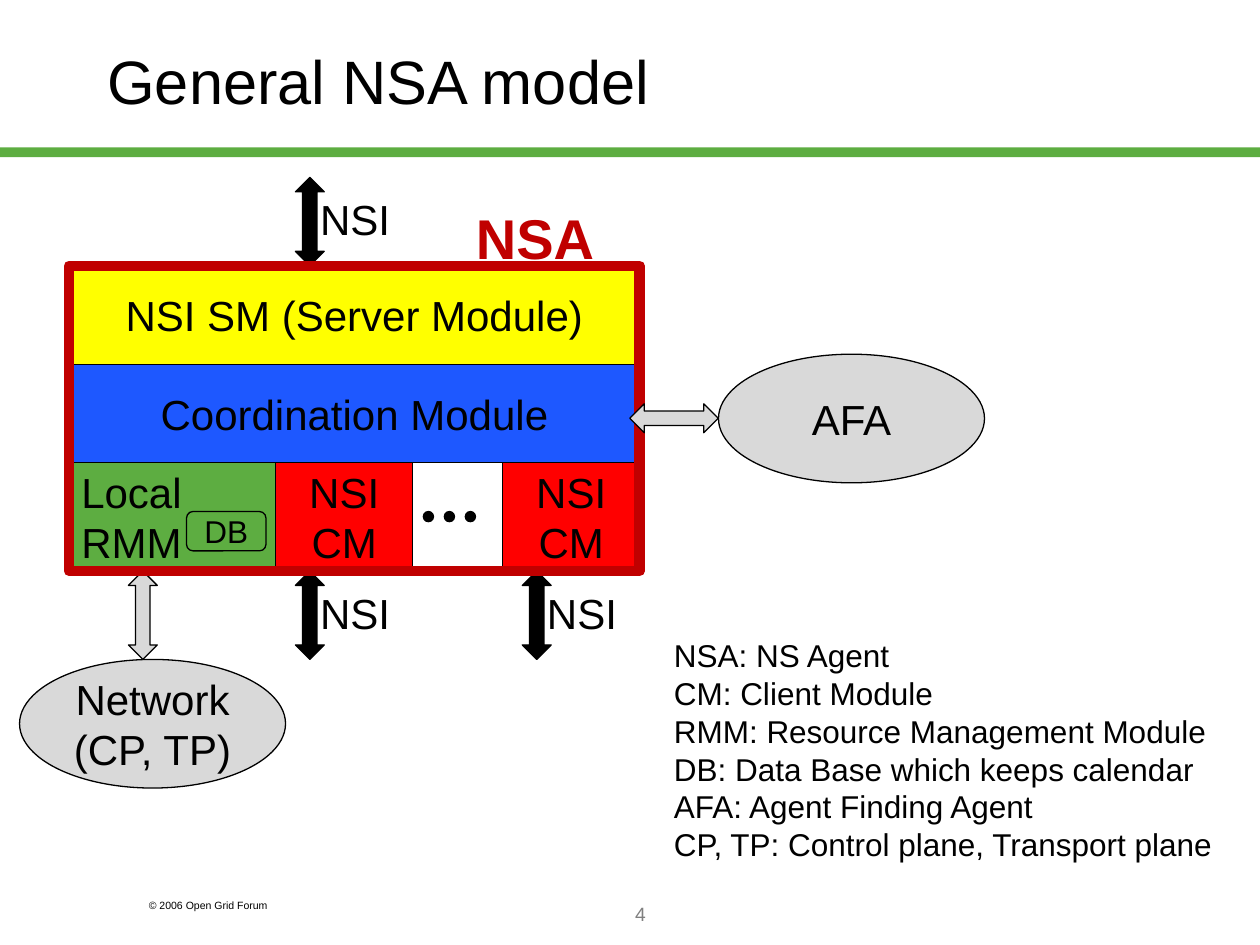
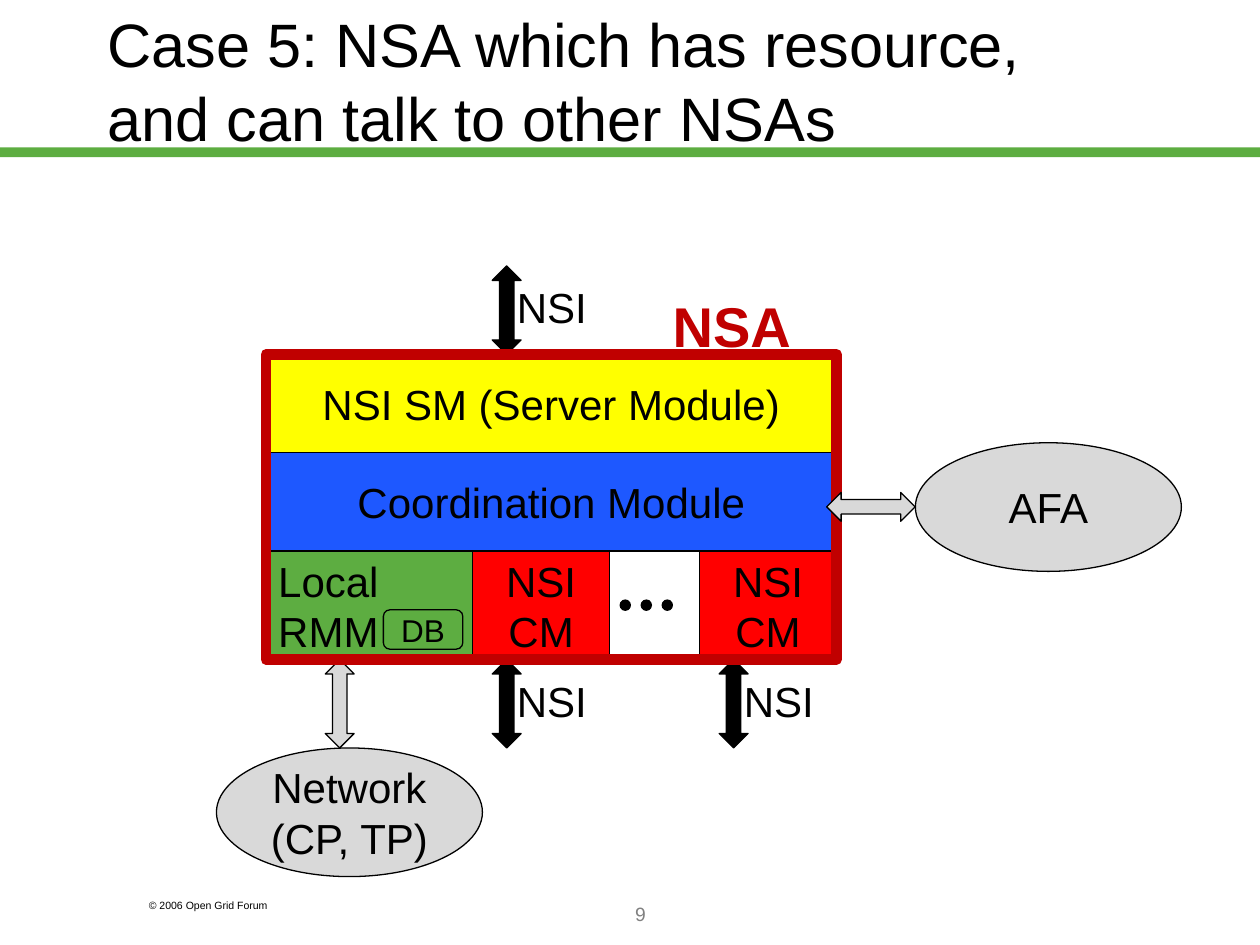
"""Build two slides that show the modules of a network service agent (NSA)."""
from dataclasses import dataclass

import pptx
import pptx.dml.color
import pptx.enum.shapes
import pptx.enum.text
import pptx.util

Pt = pptx.util.Pt
KIND = pptx.enum.shapes.MSO_SHAPE
ALIGN = pptx.enum.text.PP_ALIGN
ANCHOR = pptx.enum.text.MSO_ANCHOR

FONT = "Arial"
COLORS = {
    "ink": "000000",
    "page_number": "808080",
    "green": "5DAD41",
    "client": "FF0000",
    "coordination": "1E58FF",
    "server": "FFFF00",
    "external": "D9D9D9",
    "agent": "C00000",
}
LEGEND = (
    "NSA: NS Agent\n"
    "CM: Client Module\n"
    "RMM: Resource Management Module\n"
    "DB: Data Base which keeps calendar\n"
    "AFA: Agent Finding Agent\n"
    "CP, TP: Control plane, Transport plane"
)

AGENT_W, AGENT_H = 326.2, 174.4
LAYER_H = 56.25
CLIENT_TOP = 2 * LAYER_H
CLIENT_W, CLIENT_H = 78.4, AGENT_H - CLIENT_TOP
RESOURCE_W = 118.1
CLIENT_XS = (RESOURCE_W, AGENT_W - CLIENT_W)
ARROW_W, ARROW_H = 16.5, 50.5
CLOUD_W, CLOUD_H = 152, 73.5
DOT_SIZE, DOT_PITCH = 5.8, 12


@dataclass(frozen=True)
class Box:
    x: float
    y: float
    w: float
    h: float

    def moved(self, dx: float, dy: float) -> "Box":
        return Box(self.x + dx, self.y + dy, self.w, self.h)

    def lengths(self) -> tuple:
        return Pt(self.x), Pt(self.y), Pt(self.w), Pt(self.h)


@dataclass(frozen=True)
class Part:
    kind: int
    box: Box
    fill: str | None
    text: str = ""
    size: float = 24
    align: int = ALIGN.CENTER
    line: str | None = "ink"
    line_width: float = 0.75
    rotation: float = 0


@dataclass(frozen=True)
class Label:
    text: str
    box: Box
    size: float = 24
    color: str = "ink"
    bold: bool = False
    align: int = ALIGN.LEFT
    anchor: int = ANCHOR.TOP
    wrap: bool = False


@dataclass(frozen=True)
class Page:
    title: str
    title_width: float
    number: str
    agent_x: float
    agent_y: float
    db_y: float
    legend: str = ""


PAGES = (
    Page("General NSA model", 612, "4", 39.4, 151.9, 140.4, LEGEND),
    Page("Case 5: NSA which has resource, and can talk to other NSAs",
         542, "9", 151.9, 202.5, 146),
)


def rgb(name: str) -> pptx.dml.color.RGBColor:
    return pptx.dml.color.RGBColor.from_string(COLORS[name])


def set_text(frame, text: str, size: float, color: str, align: int, bold: bool = False) -> None:
    frame.text = text
    for paragraph in frame.paragraphs:
        paragraph.alignment = align
        for run in paragraph.runs:
            run.font.name = FONT
            run.font.size = Pt(size)
            run.font.bold = bold
            run.font.color.rgb = rgb(color)


def draw_part(slide, part: Part, dx: float = 0, dy: float = 0) -> None:
    shape = slide.shapes.add_shape(part.kind, *part.box.moved(dx, dy).lengths())
    shape.shadow.inherit = False
    shape.rotation = part.rotation
    if part.fill:
        shape.fill.solid()
        shape.fill.fore_color.rgb = rgb(part.fill)
    else:
        shape.fill.background()
    if part.line:
        shape.line.color.rgb = rgb(part.line)
        shape.line.width = Pt(part.line_width)
    else:
        shape.line.fill.background()
    if part.text:
        shape.text_frame.vertical_anchor = ANCHOR.MIDDLE
        set_text(shape.text_frame, part.text, part.size, "ink", part.align)


def draw_label(slide, label: Label, dx: float = 0, dy: float = 0) -> None:
    frame = slide.shapes.add_textbox(*label.box.moved(dx, dy).lengths()).text_frame
    frame.word_wrap = label.wrap
    frame.vertical_anchor = label.anchor
    set_text(frame, label.text, label.size, label.color, label.align, label.bold)


def arrow(x: float, y: float, fill: str, rotation: float = 0) -> Part:
    return Part(KIND.UP_DOWN_ARROW, Box(x, y, ARROW_W, ARROW_H), fill, rotation=rotation)


def cloud(text: str, x: float, y: float) -> Part:
    return Part(KIND.OVAL, Box(x, y, CLOUD_W, CLOUD_H), "external", text)


def nsi_link(x: float, y: float) -> list[Part | Label]:
    return [arrow(x, y, "ink"), Label("NSI", Box(x + 7, y + 5.6, 64, 36))]


def agent_diagram(db_y: float) -> list[Part | Label]:
    clients = [Part(KIND.RECTANGLE, Box(x, CLIENT_TOP, CLIENT_W, CLIENT_H), "client", "NSI\nCM")
               for x in CLIENT_XS]
    dots = [Part(KIND.OVAL, Box(202.5 + i * DOT_PITCH, 140.4, DOT_SIZE, DOT_SIZE), "ink")
            for i in range(3)]
    layers = [
        Part(KIND.RECTANGLE, Box(0, LAYER_H, AGENT_W, LAYER_H), "coordination",
             "Coordination Module"),
        Part(KIND.RECTANGLE, Box(0, 0, AGENT_W, LAYER_H), "server", "NSI SM (Server Module)"),
    ]
    return [
        *clients,
        Part(KIND.RECTANGLE, Box(0, CLIENT_TOP, RESOURCE_W, CLIENT_H), "green",
             "Local\nRMM", align=ALIGN.LEFT),
        cloud("Network\n(CP, TP)", -28.2, AGENT_H + ARROW_H),
        *dots,
        *layers,
        arrow(34, AGENT_H, "external"),
        *[item for x in CLIENT_XS for item in nsi_link(x + 11.3, AGENT_H)],
        *nsi_link(CLIENT_XS[0] + 11.3, -ARROW_H),
        Part(KIND.RECTANGLE, Box(0, 0, AGENT_W, AGENT_H), None, line="agent", line_width=6),
        Label("NSA", Box(225.4, -39.4, 90, 46), 32, "agent", True),
        arrow(337.5, 61.9, "external", 90),
        cloud("AFA", 371.2, 50.5),
        Part(KIND.ROUNDED_RECTANGLE, Box(67.2, db_y, 45.4, 22.5), "green", "DB", 18),
    ]


def draw_master_parts(slide, page: Page) -> None:
    draw_part(slide, Part(KIND.RECTANGLE, Box(0, 84.2, 720, 5.6), "green", line=None))
    draw_label(slide, Label("© 2006 Open Grid Forum", Box(78, 510, 108, 14.4), 6, wrap=True))
    draw_label(slide, Label(page.title, Box(54.3, 12.2, page.title_width, 67), 35,
                            anchor=ANCHOR.MIDDLE, wrap=True))
    draw_label(slide, Label(page.number, Box(156, 504, 420, 36), 11, "page_number",
                            align=ALIGN.CENTER, anchor=ANCHOR.MIDDLE, wrap=True))


def draw_page(deck, page: Page) -> None:
    slide = deck.slides.add_slide(deck.slide_layouts[6])
    draw_master_parts(slide, page)
    for item in agent_diagram(page.db_y):
        draw = draw_part if isinstance(item, Part) else draw_label
        draw(slide, item, page.agent_x, page.agent_y)
    if page.legend:
        draw_label(slide, Label(page.legend, Box(378, 360, 330, 158), 18))


def main() -> None:
    deck = pptx.Presentation()
    deck.slide_width, deck.slide_height = Pt(720), Pt(540)
    for page in PAGES:
        draw_page(deck, page)
    deck.save("out.pptx")


if __name__ == "__main__":
    main()
